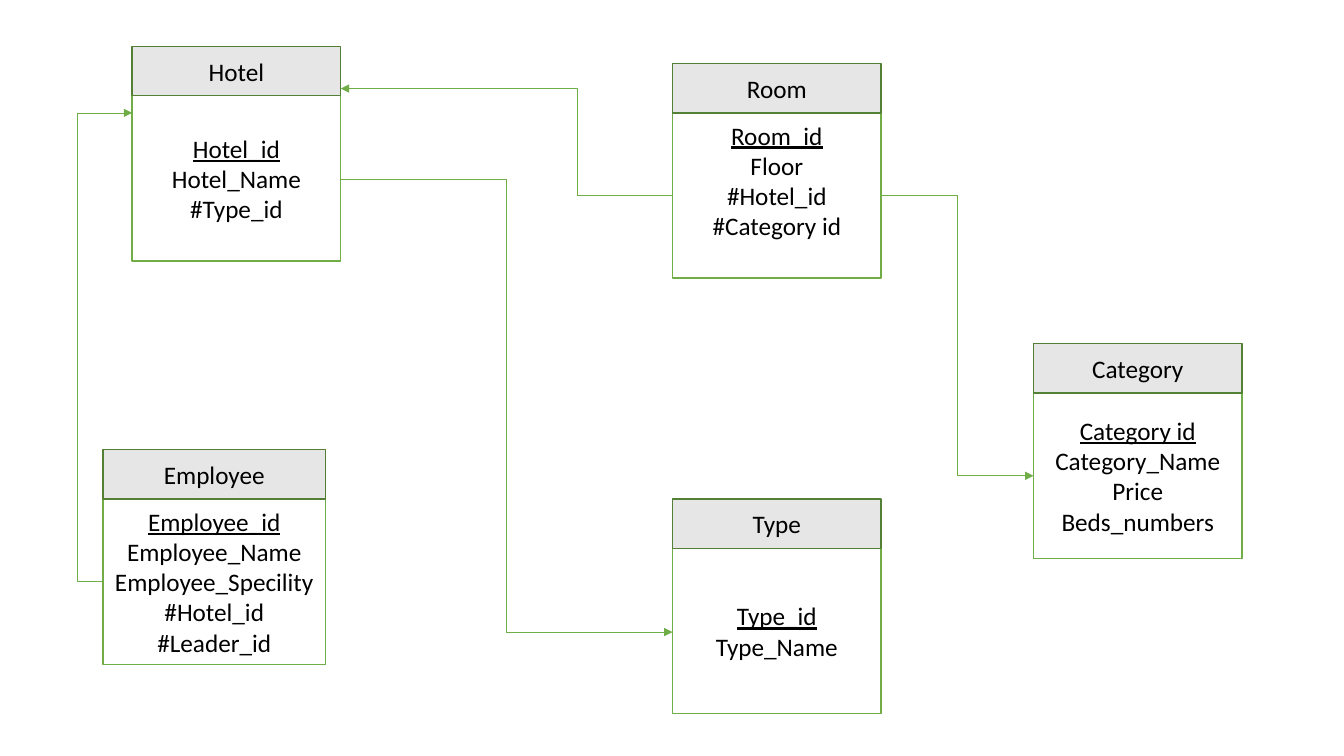
"""Build a hotel database schema slide: five entity tables joined by elbow arrows."""
import lxml.etree
import pptx
import pptx.dml.color
import pptx.enum.shapes
import pptx.enum.text
import pptx.oxml.ns
import pptx.util

Inches = pptx.util.Inches
Pt = pptx.util.Pt
qn = pptx.oxml.ns.qn

COLOURS = {
    "body": "FFFFFF",
    "header": "E7E6E6",
    "border": "70AD47",
    "header border": "538035",
    "text": "000000",
}
HEADER_HEIGHT = 0.49
BODY_HEIGHT = 1.64


def colour(name):
    return pptx.dml.color.RGBColor.from_string(COLOURS[name])


def add_box(page, left, top, width, height, fill, border, lines, underlined):
    box = page.shapes.add_shape(
        pptx.enum.shapes.MSO_SHAPE.RECTANGLE,
        Inches(left), Inches(top), Inches(width), Inches(height))
    box.shadow.inherit = False
    box.fill.solid()
    box.fill.fore_color.rgb = colour(fill)
    box.line.color.rgb = colour(border)
    box.line.width = Pt(1)
    frame = box.text_frame
    frame.word_wrap = True
    frame.vertical_anchor = pptx.enum.text.MSO_ANCHOR.MIDDLE
    for index, line in enumerate(lines):
        para = frame.paragraphs[0] if index == 0 else frame.add_paragraph()
        para.alignment = pptx.enum.text.PP_ALIGN.CENTER
        span = para.add_run()
        span.text = line
        span.font.name = "Calibri"
        span.font.size = Pt(18)
        span.font.color.rgb = colour("text")
        span.font.underline = underlined and index == 0
    return box


deck = pptx.Presentation()
deck.slide_width = Inches(13.33)
deck.slide_height = Inches(7.5)
page = deck.slides.add_slide(deck.slide_layouts[6])

entities = [
    ("Category", 10.25, 3.41, 2.07, ["Category id", "Category_Name", "Price", "Beds_numbers"]),
    ("Hotel", 1.31, 0.46, 2.07, ["Hotel_id", "Hotel_Name", "#Type_id"]),
    ("Type", 6.67, 4.95, 2.07, ["Type_id", "Type_Name"]),
    ("Room", 6.67, 0.63, 2.07, ["Room_id", "Floor", "#Hotel_id", "#Category id"]),
    ("Employee", 1.02, 4.46, 2.21,
     ["Employee_id", "Employee_Name", "Employee_Specility", "#Hotel_id", "#Leader_id"]),
]
bodies = {}
for name, left, top, width, fields in entities:
    bodies[name] = add_box(page, left, top + HEADER_HEIGHT, width, BODY_HEIGHT,
                           "body", "border", fields, True)
    add_box(page, left, top, width, HEADER_HEIGHT,
            "header", "header border", [name], False)
bodies["Room"].text_frame.margin_bottom = Inches(0.35)

relations = [
    (1.02, 5.77, 1.31, 1.12, -0.855),
    (3.38, 1.78, 6.67, 6.27, 0.5),
    (6.67, 1.94, 3.38, 0.88, 0.286),
    (8.74, 1.94, 10.25, 4.72, 0.5),
]
for start_x, start_y, end_x, end_y, bend in relations:
    arrow = page.shapes.add_connector(
        pptx.enum.shapes.MSO_CONNECTOR.ELBOW,
        Inches(start_x), Inches(start_y), Inches(end_x), Inches(end_y))
    arrow.line.color.rgb = colour("border")
    arrow.line.width = Pt(0.5)
    properties = arrow._element.spPr
    lxml.etree.SubElement(properties.find(qn("a:ln")), qn("a:tailEnd"), type="triangle")
    lxml.etree.SubElement(properties, qn("a:effectLst"))
    guides = properties.find(qn("a:prstGeom")).find(qn("a:avLst"))
    lxml.etree.SubElement(guides, qn("a:gd"), name="adj1", fmla=f"val {round(bend * 100000)}")

deck.save("out.pptx")
